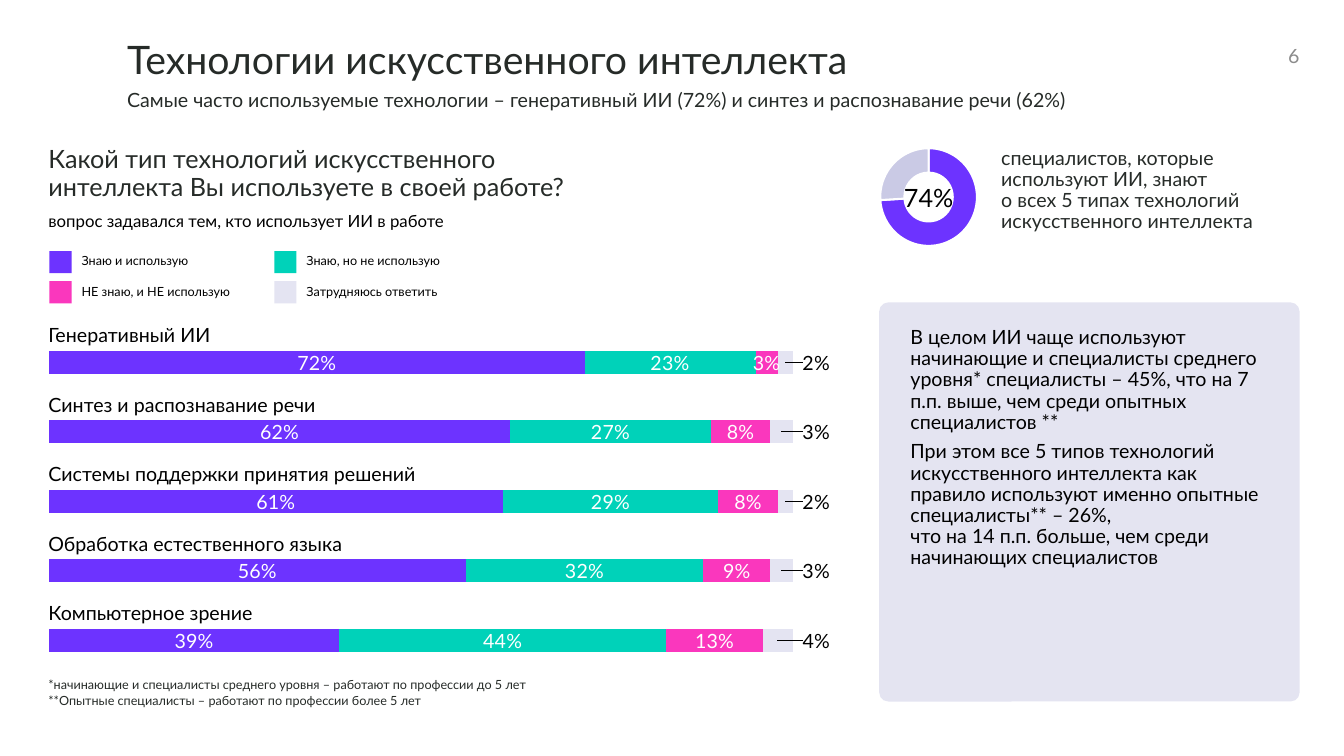
from lxml.etree import SubElement, fromstring
from pptx import Presentation
from pptx.chart.data import CategoryChartData
from pptx.dml.color import RGBColor
from pptx.enum.chart import XL_CHART_TYPE, XL_LABEL_POSITION
from pptx.enum.shapes import MSO_SHAPE
from pptx.enum.text import MSO_ANCHOR, PP_ALIGN
from pptx.oxml.ns import qn
from pptx.util import Emu, Pt

STACK, RING = XL_CHART_TYPE.BAR_STACKED_100, XL_CHART_TYPE.DOUGHNUT
MID_LABEL = XL_LABEL_POSITION.CENTER
RECT, ROUND = MSO_SHAPE.RECTANGLE, MSO_SHAPE.ROUNDED_RECTANGLE
LEFT, CENTER, RIGHT = PP_ALIGN.LEFT, PP_ALIGN.CENTER, PP_ALIGN.RIGHT
TOP, MIDDLE = MSO_ANCHOR.TOP, MSO_ANCHOR.MIDDLE

PX = 9144  # 100 px to the inch
FONT = "Lato"
HEX = {
    "ink": "262B28", "black": "000000", "white": "FFFFFF", "gray": "8C8C8C",
    "violet": "6D33FF", "teal": "00D2B9", "pink": "FA37BD",
    "pale": "E4E4F2", "lilac": "CACAE5",
}
NS = "http://schemas.openxmlformats.org/drawingml/2006/chart"
LEADER = (
    f'<c:extLst xmlns:c="{NS}"><c:ext uri="{{CE6537A1-D6FC-4f65-9D91-7224C49458BB}}" '
    'xmlns:c15="http://schemas.microsoft.com/office/drawing/2012/chart">'
    '<c15:showLeaderLines val="1"/></c:ext></c:extLst>'
)

# Name, then shares in the order of KEYS
ROWS = [
    ("Генеративный ИИ", (0.72, 0.23, 0.03, 0.02)),
    ("Синтез и распознавание речи", (0.62, 0.27, 0.08, 0.03)),
    ("Системы поддержки принятия решений", (0.61, 0.29, 0.08, 0.02)),
    ("Обработка естественного языка", (0.56, 0.32, 0.09, 0.03)),
    ("Компьютерное зрение", (0.39, 0.44, 0.13, 0.04)),
]
KEYS = [
    ("Знаю и использую", "violet"),
    ("Знаю, но не использую", "teal"),
    ("НЕ знаю, и НЕ использую", "pink"),
    ("Затрудняюсь ответить", "pale"),
]
PLOT_W = 0.948  # share of the chart width taken by the bars
TAG_GAP = 0.03  # from the end of the bars to the middle of the outer label


def rgb(name):
    return RGBColor.from_string(HEX[name])


def box(*sides):
    return [Emu(side * PX) for side in sides]


def paint(item, color):
    item.format.fill.solid()
    item.format.fill.fore_color.rgb = rgb(color)


def place(node, spot, **sizes):
    """Insert a manual chart layout as child number spot."""
    for old in node.findall(qn("c:layout")):
        node.remove(old)
    layout = node.makeelement(qn("c:layout"))
    node.insert(spot, layout)
    manual = SubElement(layout, qn("c:manualLayout"))
    for tag, val in sizes.items():
        SubElement(manual, qn("c:" + tag), val=str(val))


class Deck:
    def __init__(self):
        self.prs = Presentation()
        self.prs.slide_width, self.prs.slide_height = box(1333, 750)
        self.slide = self.prs.slides.add_slide(self.prs.slide_layouts[5])
        self.shapes = self.slide.shapes

    def fit(self, shape, text, size, color, line=0.9, align=LEFT, after=0, anchor=TOP):
        """Set the text of a shape and format it."""
        frame = shape.text_frame
        frame.word_wrap = True
        frame.vertical_anchor = anchor
        frame.margin_left = frame.margin_right = 0
        frame.margin_top = frame.margin_bottom = 0
        frame.text = text
        for para in frame.paragraphs:
            para.alignment = align
            para.line_spacing = line
            para.space_before = Pt(0)
            para.space_after = Pt(after)
            for run in para.runs:
                run.font.size = Pt(size)
                run.font.name = FONT
                run.font.color.rgb = rgb(color)
            for brk in para._p.findall(qn("a:br")):
                SubElement(brk, qn("a:rPr"), sz=str(size * 100))

    def title(self, text, area):
        head = self.shapes.title
        head.left, head.top, head.width, head.height = box(*area)
        self.fit(head, text, 28, "ink", anchor=MIDDLE)

    def text(self, text, area, size, color="black", **style):
        self.fit(self.shapes.add_textbox(*box(*area)), text, size, color, **style)

    def block(self, kind, area, color, alpha=None):
        shape = self.shapes.add_shape(kind, *box(*area))
        shape.shadow.inherit = False
        shape.fill.solid()
        shape.fill.fore_color.rgb = rgb(color)
        shape.line.fill.background()
        if alpha:
            tint = shape._element.spPr.find(".//" + qn("a:srgbClr"))
            SubElement(tint, qn("a:alpha"), val=str(alpha * 1000))
        return shape

    def chart(self, kind, area, data, plot):
        chart = self.shapes.add_chart(kind, *box(*area), data).chart
        chart.has_legend = chart.has_title = False
        chart.font.name = "Calibri"
        chart.font.size = Pt(10)
        chart.font.color.rgb = rgb("black")
        x, y, w, h = plot
        place(chart._chartSpace.find(".//" + qn("c:plotArea")), 0,
              layoutTarget="inner", xMode="edge", yMode="edge", x=x, y=y, w=w, h=h)
        return chart

    def bars(self, area):
        rows = ROWS[::-1]
        data = CategoryChartData(number_format="0%")
        data.categories = [str(n + 1) for n in range(len(rows))]
        for n, (name, _) in enumerate(KEYS):
            data.add_series(name, [vals[n] for _, vals in rows])
        chart = self.chart(STACK, area, data, (0.001, 0, PLOT_W, 0.996))
        chart.category_axis.visible = chart.value_axis.visible = False
        chart.value_axis.has_major_gridlines = False
        plot = chart.plots[0]
        plot.vary_by_categories = False
        plot.gap_width, plot.overlap = 200, 100
        for series, (_, color) in zip(plot.series, KEYS):
            paint(series, color)
            tags = series.data_labels
            tags.show_value = True
            tags.number_format, tags.number_format_is_linked = "0%", False
            tags.position = MID_LABEL
            self.tag(tags, "black" if color == "pale" else "white")
        for n, val in enumerate(series.values):
            label = series.points[n].data_label
            self.tag(label, "black")
            label.position = MID_LABEL
            place(label._dLbl, 1, x=round(TAG_GAP + PLOT_W * val / 2, 4), y=0)
        tags._element.append(fromstring(LEADER))

    def tag(self, label, color):
        label.font.size = Pt(14)
        label.font.name = FONT
        label.font.color.rgb = rgb(color)

    def ring(self, area, vals, colors):
        data = CategoryChartData()
        data.categories = ["1", "2"]
        data.add_series("Знают", vals)
        chart = self.chart(RING, area, data, (0, 0.004, 1, 0.991))
        plot = chart.plots[0]
        plot.has_data_labels = False
        for n, color in enumerate(colors):
            point = plot.series[0].points[n]
            paint(point, color)
            point.format.line.color.rgb = rgb("white")
            point.format.line.width = Pt(1.5)


def main():
    deck = Deck()
    deck.bars((48, 325, 778, 346))
    deck.title("Технологии искусственного интеллекта", (126, 40, 867, 42))
    deck.text("Самые часто используемые технологии – генеративный ИИ (72%) "
              "и синтез и распознавание речи (62%)", (126, 90, 1159, 21), 14, "ink")
    deck.text("Какой тип технологий искусственного интеллекта Вы используете "
              "в своей работе?", (48, 146, 569, 54), 18, "ink")
    deck.text("вопрос задавался тем, кто использует ИИ в работе", (48, 211, 497, 18), 12)

    for n, (name, _) in enumerate(ROWS):
        deck.text(name, (48, 325 + 69 * n, 400, 19), 14, line=0.8)
    for n, (name, color) in enumerate(KEYS):
        x, y = 49 + n % 2 * 223, 249 + n // 2 * 30
        deck.block(RECT, (x, y, 22, 22), color)
        deck.text(name, (x + 32, y + 4, 157, 14), 9)

    deck.text("специалистов, которые используют ИИ, знают\vо всех 5 типах технологий "
              "искусственного интеллекта", (993, 147, 291, 84), 14, "ink")
    panel = deck.block(ROUND, (872, 300, 417, 396), "lilac", alpha=50)
    panel.adjustments[0] = 0.023
    deck.text("В целом ИИ чаще используют начинающие и специалисты среднего уровня* "
              "специалисты – 45%, что на 7 п.п. выше, чем среди опытных специалистов **\n"
              "При этом все 5 типов технологий искусственного интеллекта как правило "
              "используют именно опытные специалисты** – 26%, \vчто на 14 п.п. больше, "
              "чем среди начинающих специалистов", (903, 325, 354, 240), 14, after=6)
    deck.ring((872, 146, 98, 99), (74, 26), ("violet", "lilac"))
    deck.text("74%", (882, 184, 78, 27), 18, align=CENTER)
    deck.text("*начинающие и специалисты среднего уровня – работают по профессии до 5 лет\n"
              "**Опытные специалисты – работают по профессии более 5 лет",
              (48, 672, 630, 30), 9, "ink", line=1.0)
    deck.text("6", (1233, 42, 56, 27), 14, "gray", line=1.0, align=RIGHT, anchor=MIDDLE)
    deck.prs.save("out.pptx")


if __name__ == "__main__":
    main()
